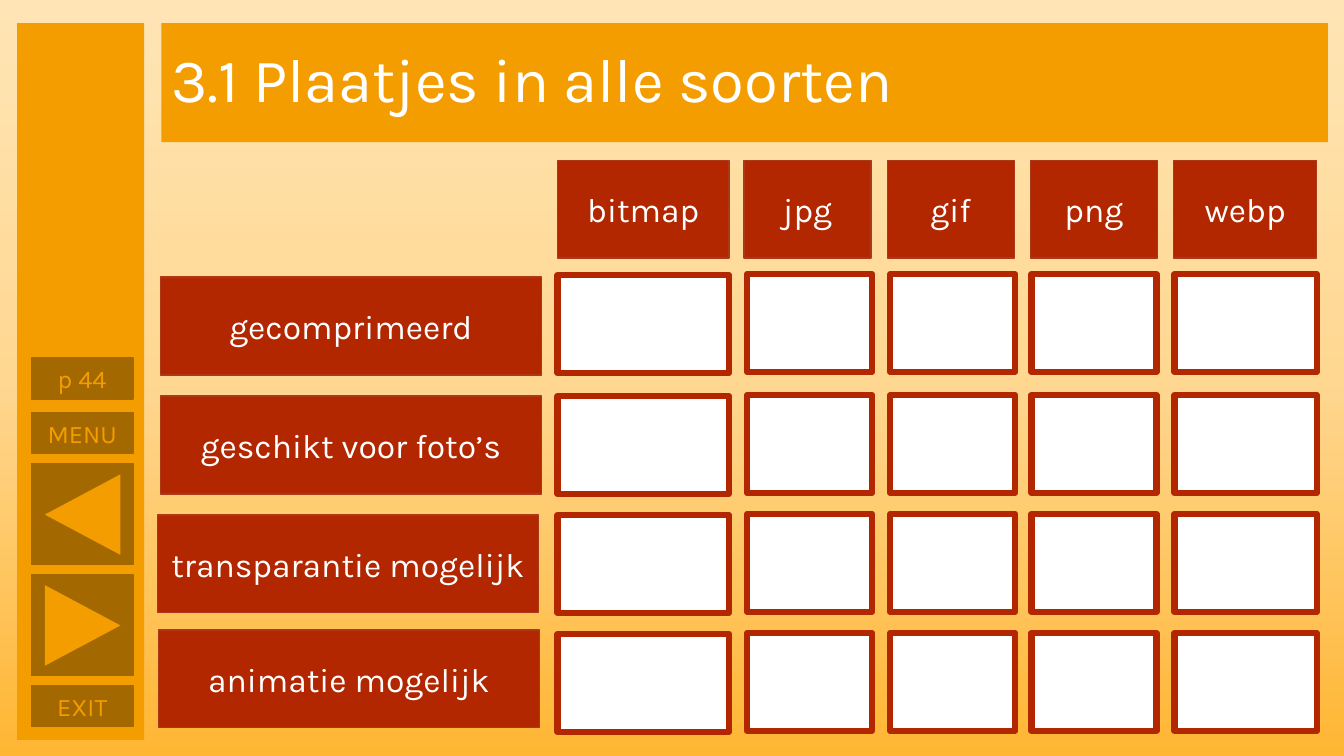
from copy import deepcopy
from dataclasses import dataclass

from pptx import Presentation
from pptx import util as u
from pptx.dml.color import RGBColor
from pptx.enum import shapes, text
from pptx.oxml.ns import qn

PX = 9144
FONT = "Karla"
ORANGE, BROWN, RED, RED_EDGE, WHITE = "F49D00", "A36900", "B22600", "AC3819", "FFFFFF"
BACKDROP = [(0, "FFE5B5"), (0.5, "FFD791"), (1, "FFB633")]
RECT = shapes.MSO_SHAPE.RECTANGLE
TRIANGLE = shapes.MSO_SHAPE.ISOSCELES_TRIANGLE


@dataclass(frozen=True)
class Style:
    fill: str
    edge: str = ""
    edge_width: float = 1
    ink: str = WHITE
    size: int = 24


@dataclass(frozen=True)
class Column:
    name: str
    left: int
    width: int
    cell_left: int
    cell_width: int
    cell_drop: int = 0


@dataclass(frozen=True)
class Row:
    name: str
    left: int
    top: int
    cell_top: int


@dataclass(frozen=True)
class Button:
    top: int
    height: int
    name: str = ""
    turn: int = 0


PLAIN = Style(ORANGE)
NAV = Style(BROWN, BROWN, ink=ORANGE, size=18)
LABEL = Style(RED, RED_EDGE)
CELL = Style(WHITE, RED, 4.5)

BUTTONS = [
    Button(680, 41, "EXIT"),
    Button(570, 100, turn=90),
    Button(460, 100, turn=270),
    Button(409, 41, "MENU"),
    Button(355, 41, "p 44"),
]
ROWS = [
    Row("gecomprimeerd", 159, 275, 272),
    Row("geschikt voor foto’s", 159, 393, 392),
    Row("transparantie mogelijk", 156, 511, 510),
    Row("animatie mogelijk", 157, 625, 628),
]
COLUMNS = [
    Column("bitmap", 553, 170, 553, 170, 1),
    Column("jpg", 738, 126, 741, 124),
    Column("gif", 880, 126, 883, 124),
    Column("png", 1022, 126, 1023, 124),
    Column("webp", 1164, 142, 1165, 141),
]
BOX_HEIGHT = 97


def px(length: int) -> u.Emu:
    return u.Emu(length * PX)


def colour(value: str) -> RGBColor:
    return RGBColor.from_string(value)


def write(box, words: str, size: int, ink: str, align) -> None:
    frame = box.text_frame
    frame.word_wrap = True
    frame.vertical_anchor = text.MSO_ANCHOR.MIDDLE
    para = frame.paragraphs[0]
    para.text = words
    para.alignment = align
    para.font.name = FONT
    para.font.size = u.Pt(size)
    para.font.color.rgb = colour(ink)


def draw(page, left: int, top: int, width: int, height: int, style: Style,
         words: str = "", kind=RECT):
    box = page.shapes.add_shape(kind, px(left), px(top), px(width), px(height))
    box.shadow.inherit = False
    box.fill.solid()
    box.fill.fore_color.rgb = colour(style.fill)
    if style.edge:
        box.line.color.rgb = colour(style.edge)
        box.line.width = u.Pt(style.edge_width)
    else:
        box.line.fill.background()
    if words:
        write(box, words, style.size, style.ink, text.PP_ALIGN.CENTER)
    return box


def paint_background(page) -> None:
    fill = page.background.fill
    fill.gradient()
    fill.gradient_angle = 270
    stops = page.element.find(".//" + qn("a:gsLst"))
    stops.append(deepcopy(stops[-1]))
    for stop, (position, shade) in zip(fill.gradient_stops, BACKDROP):
        stop.position = position
        stop.color.rgb = colour(shade)


def add_title(page) -> None:
    title = page.shapes.title
    title.left, title.top, title.width, title.height = map(px, (160, 23, 1157, 118))
    title.fill.solid()
    title.fill.fore_color.rgb = colour(ORANGE)
    write(title, "3.1 Plaatjes in alle soorten", 44, WHITE, text.PP_ALIGN.LEFT)
    title.text_frame.auto_size = text.MSO_AUTO_SIZE.NONE
    title.text_frame.paragraphs[0].line_spacing = 0.9


def add_sidebar(page) -> None:
    draw(page, 17, 23, 126, 711, PLAIN)
    for button in BUTTONS:
        draw(page, 31, button.top, 101, button.height, NAV, button.name)
    for button in BUTTONS:
        if button.turn:
            arrow = draw(page, 42, button.top + 13, 80, 75, PLAIN, kind=TRIANGLE)
            arrow.rotation = button.turn


def add_grid(page) -> None:
    for row in ROWS:
        draw(page, row.left, row.top, 378, BOX_HEIGHT, LABEL, row.name)
    for column in COLUMNS:
        draw(page, column.left, 159, column.width, BOX_HEIGHT, LABEL, column.name)
    for row in ROWS:
        for column in COLUMNS:
            draw(page, column.cell_left, row.cell_top + column.cell_drop,
                 column.cell_width, BOX_HEIGHT, CELL)


def main() -> None:
    deck = Presentation()
    deck.slide_width, deck.slide_height = px(1333), px(750)
    page = deck.slides.add_slide(deck.slide_layouts[5])
    paint_background(page)
    add_title(page)
    add_sidebar(page)
    add_grid(page)
    deck.save("out.pptx")


if __name__ == "__main__":
    main()
